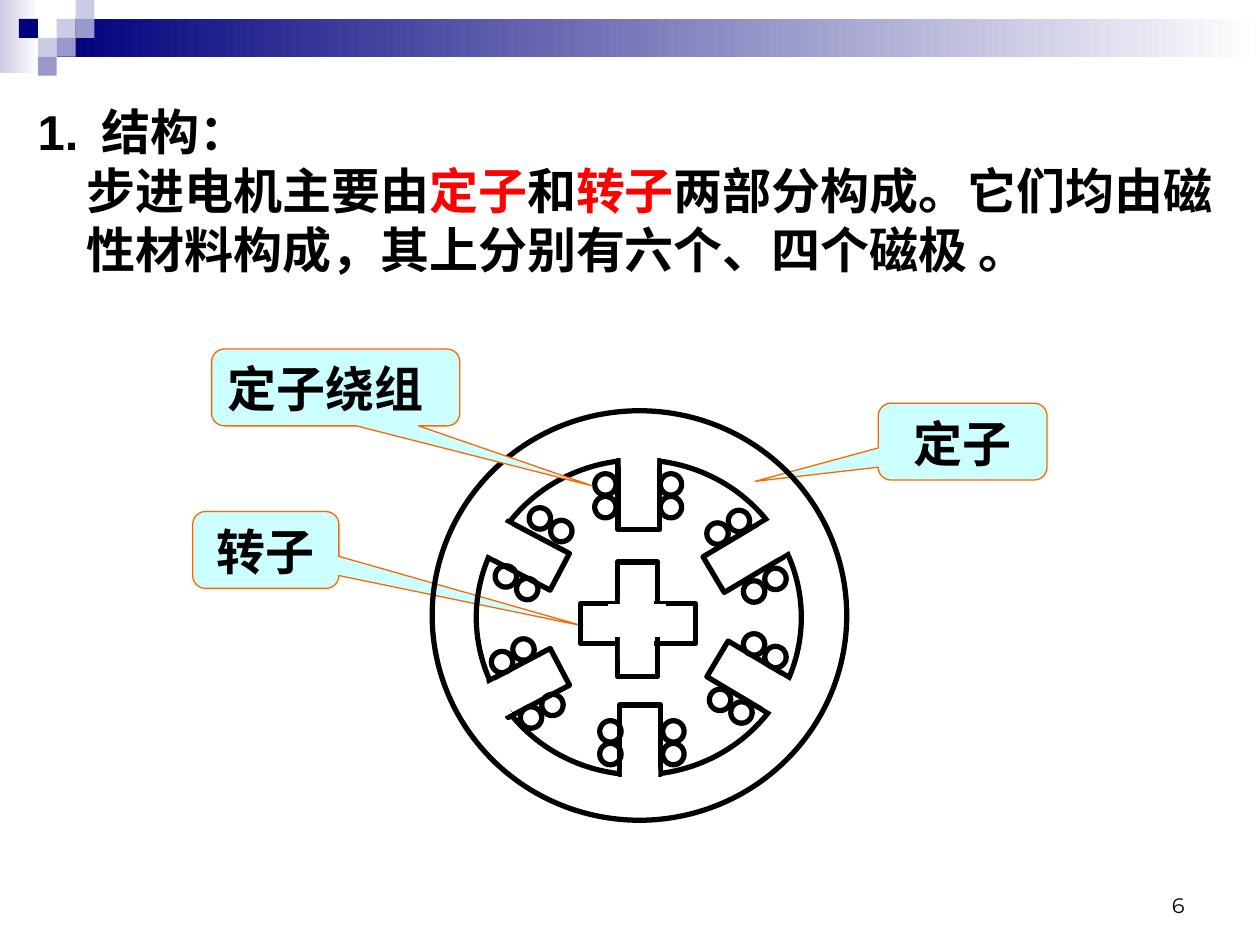
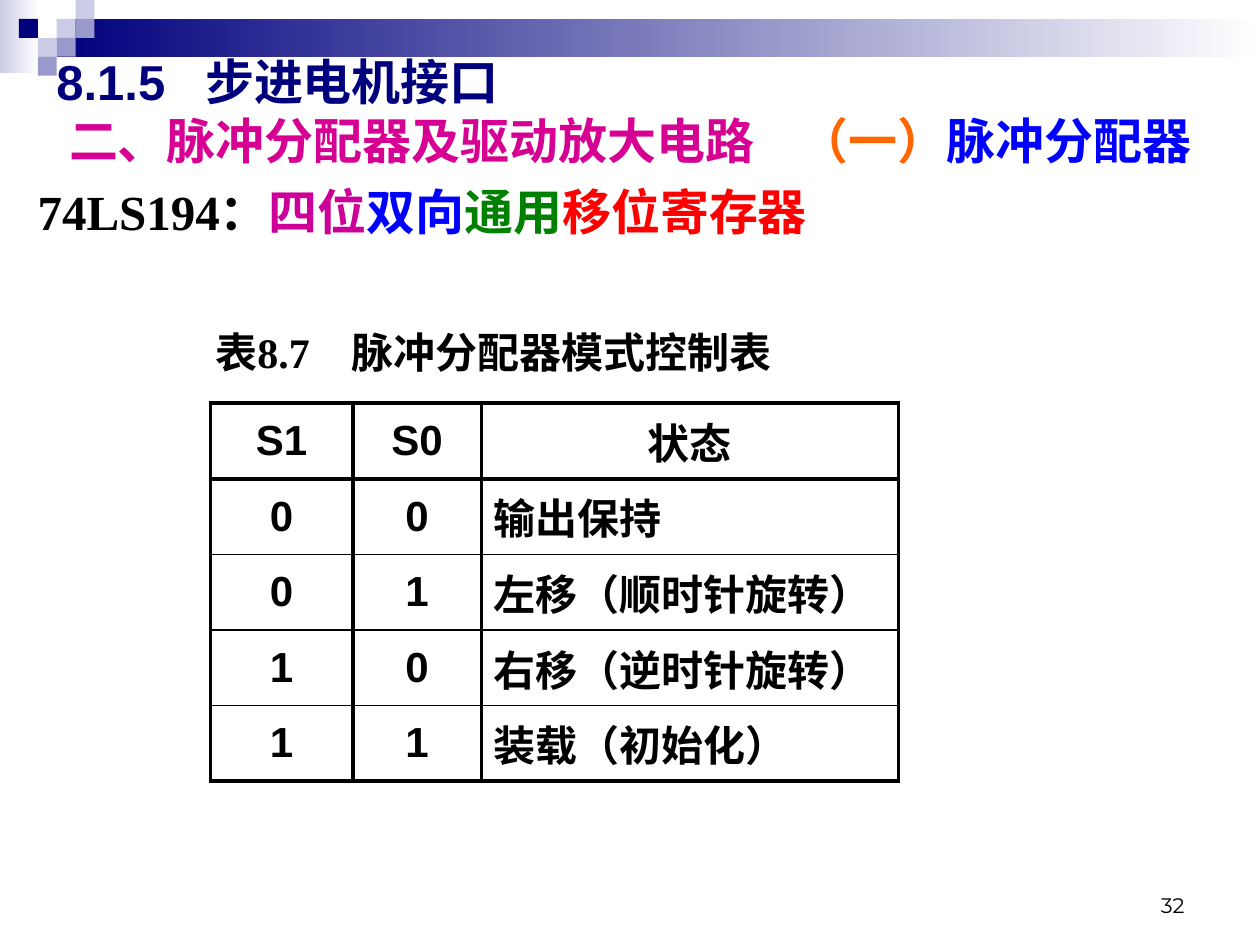
import math

import pptx
import pptx.dml.color
import pptx.enum.shapes
import pptx.enum.text
import pptx.oxml
import pptx.oxml.ns
import pptx.util

Inches, Pt = pptx.util.Inches, pptx.util.Pt
RGB = pptx.dml.color.RGBColor
SHAPE = pptx.enum.shapes.MSO_SHAPE
ALIGN = pptx.enum.text.PP_ALIGN
ANCHOR = pptx.enum.text.MSO_ANCHOR

# Shared colours and fonts
BLACK, WHITE = RGB(0, 0, 0), RGB(0xFF, 0xFF, 0xFF)
NAVY, LAVENDER, LILAC = RGB(0, 0, 0x7D), RGB(0xCC, 0xCC, 0xE6), RGB(0x99, 0x99, 0xCC)
RED, BLUE, GREEN = RGB(0xFF, 0, 0), RGB(0, 0, 0xFF), RGB(0, 0x80, 0)
ORANGE, PALE_CYAN = RGB(0xFF, 0x66, 0), RGB(0xCC, 0xFF, 0xFF)
MAGENTA, PURPLE = RGB(0xD6, 0, 0x93), RGB(0xCC, 0, 0x99)
SANS, SERIF, CJK, NUMBER_FONT = "Arial", "Times New Roman", "Noto Sans CJK SC", "Montserrat"

# Band: gradient bars (left, top, width, height, start colour) and grid squares
BAND_BARS = [(0, 0, 0.31, 0.58, LAVENDER), (0.45, 0.15, 9.55, 0.3, NAVY)]
BAND_SQUARE = 0.15
BAND_SQUARES = [(3, 1, LAVENDER), (4, 0, LAVENDER), (4, 1, LILAC), (2, 2, LAVENDER),
                (1, 1, NAVY), (3, 2, LILAC), (2, 3, LILAC)]

# Slide 1: text is a list of (text, colour) runs
STRUCTURE_HEADING = [("1.\t结构：", BLACK)]
STRUCTURE_TEXT = [("步进电机主要由", BLACK), ("定子", RED), ("和", BLACK), ("转子", RED),
                  ("两部分构成。它们均由磁性材料构成，其上分别有六个、四个磁极 。", BLACK)]
# (label, box, pointer adjustments, alignment)
STATOR_LABEL = ("定子", (6.97, 3.2, 1.34, 0.61), (-1.229, 0.517, 0.167), ALIGN.CENTER)
ROTOR_LABEL = ("转子", (1.53, 4.06, 1.16, 0.61), (2.171, 0.989, 0.167), ALIGN.CENTER)
WINDING_LABEL = ("定子绕组", (1.68, 2.77, 1.97, 0.61), (1.033, 1.28, 0.167), ALIGN.LEFT)

STATOR_RINGS = [(3.78, 3.65, 2.58, 2.5), (3.43, 3.26, 3.29, 3.25)]
POLE_SIZE, POLE_CAP_SIZE, CAP_DISTANCE = (0.33, 0.55), (0.29, 0.23), 0.345
# (centre x, centre y, clockwise angle from the top)
POLES = [(5.07, 3.93, 0), (5.08, 5.87, 180), (5.9, 4.42, 59.2),
         (4.2, 4.41, 297.8), (5.93, 5.37, 120.8), (4.2, 5.42, 242.2)]
ROTOR_BARS = [(4.9, 4.46, 0.32, 0.91), (4.61, 4.79, 0.91, 0.32)]
ROTOR_CORE = [(4.92, 4.74, 0.27, 0.5), (4.83, 4.8, 0.45, 0.25)]
COIL = 0.17
# Step between the two coils of a pair -> first coils
COIL_PAIRS = {
    (0, 0.18): [(4.72, 3.76), (5.24, 3.76), (4.76, 5.72), (5.26, 5.72)],
    (0.17, 0.1): [(5.9, 5.03), (5.63, 5.47), (4.2, 4.03), (3.93, 4.49)],
    (0.17, -0.1): [(4.13, 5.61), (5.9, 4.61), (3.9, 5.17), (5.61, 4.15)],
}

# Slide 2
SECTION = [("8.1.5\t步进电机接口", NAVY)]
SUBSECTION = [("二、脉冲分配器及驱动放大电路\t", MAGENTA), ("（一）", ORANGE), ("脉冲分配器", BLUE)]
REGISTER = [("74LS194：", BLACK), ("四位", PURPLE), ("双向", BLUE), ("通用", GREEN),
            ("移位寄存器", RED)]
MODE_CAPTION = [("表8.7\t脉冲分配器模式控制表", BLACK)]
MODES = [("S1", "S0", "状态"),
         ("0", "0", "输出保持"),
         ("0", "1", "左移（顺时针旋转）"),
         ("1", "0", "右移（逆时针旋转）"),
         ("1", "1", "装载（初始化）")]
MODE_COLUMNS, MODE_ROW = (1.13, 1.02, 3.31), 0.6
THICK, THIN = 2.25, 1
MODE_RULES = [THICK, THICK, THIN, THIN, THIN, THICK]


def add_part(slide, kind, box, fill=None, line=None, weight=3, angle=0):
    part = slide.shapes.add_shape(kind, *map(Inches, box))
    part.shadow.inherit = False
    part.rotation = angle
    if fill is None:
        part.fill.background()
    else:
        part.fill.solid()
        part.fill.fore_color.rgb = fill
    if line is None:
        part.line.fill.background()
    else:
        part.line.color.rgb = line
        part.line.width = Pt(weight)
    return part


def write(paragraph, runs, size=28, font=SANS, bold=True, align=None, indent=0, tab=None):
    paragraph.alignment = align
    properties = paragraph._p.get_or_add_pPr()
    if indent:
        properties.set("marL", str(Inches(indent)))
    if tab:
        tabs = pptx.oxml.parse_xml(
            f'<a:tabLst {pptx.oxml.ns.nsdecls("a")}><a:tab pos="{Inches(tab)}" algn="l"/></a:tabLst>')
        properties.append(tabs)
    paragraph.font.size, paragraph.font.name, paragraph.font.bold = Pt(size), font, bold
    if len({color for _, color in runs}) == 1:
        paragraph.font.color.rgb = runs[0][1]
    for text, color in runs:
        run = paragraph.add_run()
        run.text = text
        if len(runs) > 1:
            run.font.color.rgb = color


def add_text(slide, box, paragraphs, anchor=ANCHOR.TOP):
    """Each paragraph is (runs, options of write)."""
    frame = slide.shapes.add_textbox(*map(Inches, box)).text_frame
    frame.word_wrap = True
    frame.vertical_anchor = anchor
    for i, (runs, options) in enumerate(paragraphs):
        write(frame.add_paragraph() if i else frame.paragraphs[0], runs, **options)


def add_base(deck, number):
    slide = deck.slides.add_slide(deck.slide_layouts[6])
    for *box, color in BAND_BARS:
        bar = add_part(slide, SHAPE.RECTANGLE, box)
        bar.fill.gradient()
        bar.fill.gradient_angle = 0
        for stop, stop_color in zip(bar.fill.gradient_stops, (color, WHITE)):
            stop.color.rgb = stop_color
    for column, row, color in BAND_SQUARES:
        add_part(slide, SHAPE.RECTANGLE,
                 (column * BAND_SQUARE, row * BAND_SQUARE, BAND_SQUARE, BAND_SQUARE), color)
    add_text(slide, (7.17, 6.83, 2.33, 0.5),
             [([(str(number), BLACK)],
               dict(size=12, font=NUMBER_FONT, bold=False, align=ALIGN.RIGHT))], ANCHOR.BOTTOM)
    return slide


def add_label(slide, text, box, pointer, align):
    label = add_part(slide, SHAPE.ROUNDED_RECTANGULAR_CALLOUT, box, PALE_CYAN, ORANGE, 0.75)
    for i, value in enumerate(pointer):
        label.adjustments[i] = value
    label.text_frame.vertical_anchor = ANCHOR.TOP
    write(label.text_frame.paragraphs[0], [(text, BLACK)], font=CJK, align=align)


def centred(x, y, size):
    return x - size[0] / 2, y - size[1] / 2, *size


def add_motor(slide):
    for ring in STATOR_RINGS:
        add_part(slide, SHAPE.OVAL, ring, line=BLACK)
    # Each pole is opened towards the stator by a white cap
    for x, y, angle in POLES:
        add_part(slide, SHAPE.RECTANGLE, centred(x, y, POLE_SIZE), line=BLACK, angle=angle)
        cap_x = x + CAP_DISTANCE * math.sin(math.radians(angle))
        cap_y = y - CAP_DISTANCE * math.cos(math.radians(angle))
        add_part(slide, SHAPE.RECTANGLE, centred(cap_x, cap_y, POLE_CAP_SIZE), WHITE, angle=angle)
    for bar in ROTOR_BARS:
        add_part(slide, SHAPE.RECTANGLE, bar, line=BLACK)
    for core, edge in zip(ROTOR_CORE, (None, WHITE)):
        add_part(slide, SHAPE.RECTANGLE, core, WHITE, edge, 0.75)
    for (dx, dy), starts in COIL_PAIRS.items():
        for x, y in starts:
            for i in range(2):
                add_part(slide, SHAPE.OVAL, (x + i * dx, y + i * dy, COIL, COIL), line=BLACK)


def set_borders(cell, top, bottom):
    for side, weight in (("L", THICK), ("R", THICK), ("T", top), ("B", bottom)):
        cell._tc.get_or_add_tcPr().append(pptx.oxml.parse_xml(
            f'<a:ln{side} {pptx.oxml.ns.nsdecls("a")} w="{Pt(weight)}"><a:solidFill>'
            f'<a:srgbClr val="{BLACK}"/></a:solidFill></a:ln{side}>'))


def add_modes(slide):
    modes = slide.shapes.add_table(
        len(MODES), len(MODE_COLUMNS), Inches(1.67), Inches(3.2),
        Inches(sum(MODE_COLUMNS)), Inches(MODE_ROW * len(MODES))).table
    modes.first_row = modes.horz_banding = False
    for column, width in zip(modes.columns, MODE_COLUMNS):
        column.width = Inches(width)
    for r, row in enumerate(MODES):
        for c, text in enumerate(row):
            cell = modes.cell(r, c)
            set_borders(cell, MODE_RULES[r], MODE_RULES[r + 1])
            cell.fill.background()
            cell.vertical_anchor = ANCHOR.MIDDLE
            align = ALIGN.LEFT if r and c == 2 else ALIGN.CENTER
            write(cell.text_frame.paragraphs[0], [(text, BLACK)], size=24, align=align)


def main():
    deck = pptx.Presentation()
    deck.slide_width, deck.slide_height = Inches(10), Inches(7.5)

    # Motor structure
    structure = add_base(deck, 6)
    add_text(structure, (0.2, 0.76, 9.61, 6.54),
             [(STRUCTURE_HEADING, dict(tab=0.51)), (STRUCTURE_TEXT, dict(indent=0.39))])
    add_label(structure, *STATOR_LABEL)
    add_label(structure, *ROTOR_LABEL)
    add_motor(structure)
    add_label(structure, *WINDING_LABEL)

    # Pulse distributor
    distributor = add_base(deck, 32)
    add_text(distributor, (0.2, 1.39, 9.61, 5.91), [(REGISTER, dict(font=SERIF))])
    add_text(distributor, (0.35, 0.36, 9.37, 1.02),
             [(SECTION, dict(tab=1.18)), (SUBSECTION, dict(indent=0.1, tab=5.8))])
    add_modes(distributor)
    add_text(distributor, (1.61, 2.54, 6.22, 0.5),
             [(MODE_CAPTION, dict(size=24, font=SERIF, tab=1.08))])

    deck.save("out.pptx")


if __name__ == "__main__":
    main()
